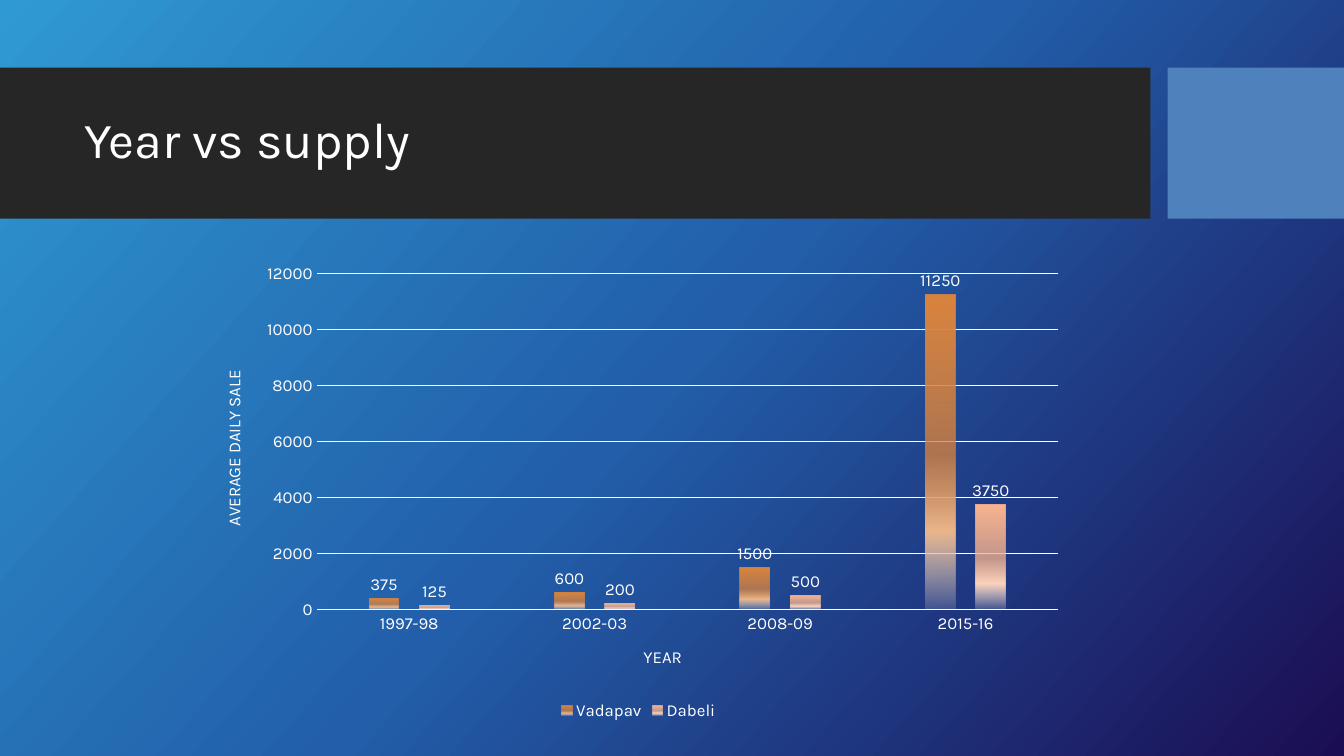
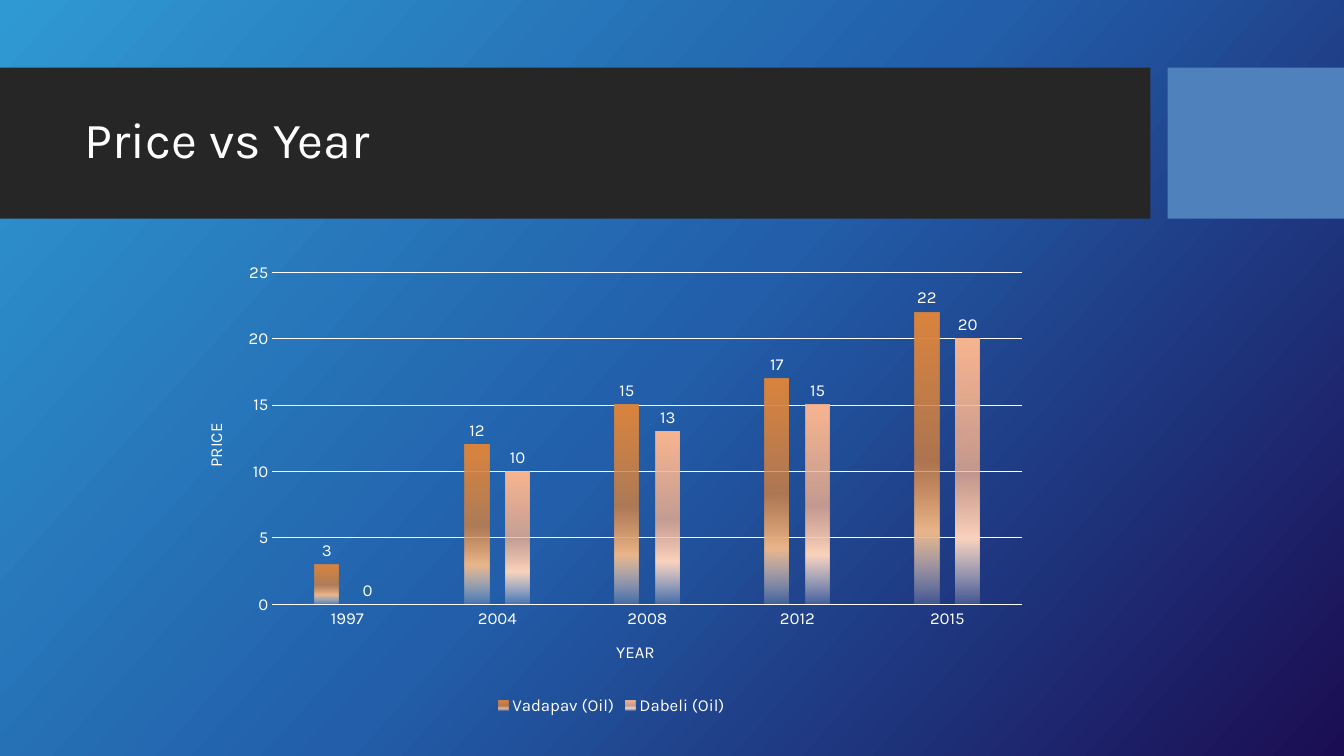
"""Build two slides that compare Vadapav and Dabeli sales and prices."""
from lxml import etree
from pptx import Presentation
from pptx.chart.data import CategoryChartData
from pptx.dml.color import RGBColor
from pptx.enum.chart import XL_CHART_TYPE, XL_LABEL_POSITION, XL_LEGEND_POSITION, XL_TICK_MARK
from pptx.enum.shapes import MSO_SHAPE
from pptx.enum.text import MSO_ANCHOR
from pptx.oxml.ns import qn
from pptx.util import Inches, Pt

COLUMNS = XL_CHART_TYPE.COLUMN_CLUSTERED
OUTSIDE_END = XL_LABEL_POSITION.OUTSIDE_END
BOTTOM = XL_LEGEND_POSITION.BOTTOM
NO_TICK = XL_TICK_MARK.NONE
RECTANGLE = MSO_SHAPE.RECTANGLE
MIDDLE = MSO_ANCHOR.MIDDLE

FONT = "Karla"
COLORS = {
    "text": "FFFFFF",
    "band": "262626",
    "accent": "4F81BD",
    "sky": "2F99D3",
    "blue": "225EA9",
    "night": "1B0D53",
    "orange": "DB853E",
    "orange_light": "EAB68B",
    "orange_pale": "F8E7D8",
    "peach": "F9B590",
    "peach_light": "FBD3BD",
    "peach_pale": "FEF0E9",
}
BACKGROUND_STOPS = [(0, "sky", 100), (50, "blue", 100), (100, "night", 100)]
SERIES_HUES = ["orange", "peach"]


def rgb(name):
    return RGBColor.from_string(COLORS[name])


def style_font(font, size):
    font.name = FONT
    font.size = Pt(size)
    font.bold = False
    font.color.rgb = rgb("text")


def set_gradient(parent, stops, angle):
    gradient = etree.Element(qn("a:gradFill"), rotWithShape="1")
    stop_list = etree.SubElement(gradient, qn("a:gsLst"))
    for position, name, opacity in stops:
        stop = etree.SubElement(stop_list, qn("a:gs"), pos=str(position * 1000))
        color = etree.SubElement(stop, qn("a:srgbClr"), val=COLORS[name])
        if opacity < 100:
            etree.SubElement(color, qn("a:alpha"), val=str(opacity * 1000))
    etree.SubElement(gradient, qn("a:lin"), ang=str(angle * 60000), scaled="0")
    parent.replace(parent.find(qn("a:solidFill")), gradient)


def add_band(page, left, width, color):
    band = page.shapes.add_shape(RECTANGLE, Inches(left), Inches(0.67), Inches(width), Inches(1.5))
    band.shadow.inherit = False
    band.fill.solid()
    band.fill.fore_color.rgb = rgb(color)
    band.line.fill.background()


def add_title(page, text):
    box = page.shapes.add_textbox(Inches(0.74), Inches(0.82), Inches(10.51), Inches(1.18))
    frame = box.text_frame
    frame.word_wrap = True
    frame.vertical_anchor = MIDDLE
    para = frame.paragraphs[0]
    para.line_spacing = 0.9
    span = para.add_run()
    span.text = text
    style_font(span.font, 36)


def add_page(deck, title):
    page = deck.slides.add_slide(deck.slide_layouts[6])
    fill = page.background.fill
    fill.solid()
    fill.fore_color.rgb = rgb("blue")
    set_gradient(page.element.find(".//" + qn("p:bgPr")), BACKGROUND_STOPS, 42)
    add_band(page, 0, 11.41, "band")
    add_band(page, 11.58, 1.75, "accent")
    add_title(page, title)
    return page


def style_axis(axis, title):
    axis.major_tick_mark = axis.minor_tick_mark = NO_TICK
    style_font(axis.tick_labels.font, 12)
    span = axis.axis_title.text_frame.paragraphs[0].add_run()
    span.text = title
    style_font(span.font, 12)


def style_line(line):
    line.color.rgb = rgb("text")
    line.width = Pt(0.75)


def style_series(plot, chart):
    for series in plot.series:
        series.format.fill.solid()
        labels = series.data_labels
        labels.show_value = True
        labels.position = OUTSIDE_END
        style_font(labels.font, 12)
    for properties, hue in zip(chart.element.findall(".//" + qn("c:ser") + "/" + qn("c:spPr")), SERIES_HUES):
        stops = [(0, hue, 100), (51, hue, 75), (75, hue + "_light", 100), (100, hue + "_pale", 15)]
        set_gradient(properties, stops, 90)


def add_column_chart(page, place, value_title, categories, series):
    data = CategoryChartData()
    data.categories = categories
    for name, values in series.items():
        data.add_series(name, values)
    chart = page.shapes.add_chart(COLUMNS, *map(Inches, place), data).chart
    style_font(chart.font, 10)
    chart.has_title = False
    chart.has_legend = True
    chart.legend.position = BOTTOM
    chart.legend.include_in_layout = False
    style_font(chart.legend.font, 12)

    style_axis(chart.category_axis, "YEAR")
    style_line(chart.category_axis.format.line)
    style_axis(chart.value_axis, value_title)
    chart.value_axis.format.line.fill.background()
    style_line(chart.value_axis.major_gridlines.format.line)
    title_body = chart.element.find(".//" + qn("c:valAx") + "/" + qn("c:title") + "//" + qn("a:bodyPr"))
    title_body.set("rot", "-5400000")
    title_body.set("vert", "horz")

    plot = chart.plots[0]
    plot.vary_by_categories = False
    plot.gap_width = 355
    plot.overlap = -70
    style_series(plot, chart)


def main():
    deck = Presentation()
    deck.slide_width, deck.slide_height = Inches(13.33), Inches(7.5)

    supply = add_page(deck, "Year vs supply")
    add_column_chart(
        supply, (2, 2.52, 8.67, 4.67), "AVERAGE DAILY SALE",
        ["1997-98", "2002-03", "2008-09", "2015-16"],
        {"Vadapav": [375, 600, 1500, 11250], "Dabeli": [125, 200, 500, 3750]},
    )

    price = add_page(deck, "Price vs Year")
    add_column_chart(
        price, (1.82, 2.51, 8.49, 4.63), "PRICE",
        ["1997", "2004", "2008", "2012", "2015"],
        {"Vadapav (Oil)": [3, 12, 15, 17, 22], "Dabeli (Oil)": [0, 10, 13, 15, 20]},
    )
    deck.save("out.pptx")


if __name__ == "__main__":
    main()
